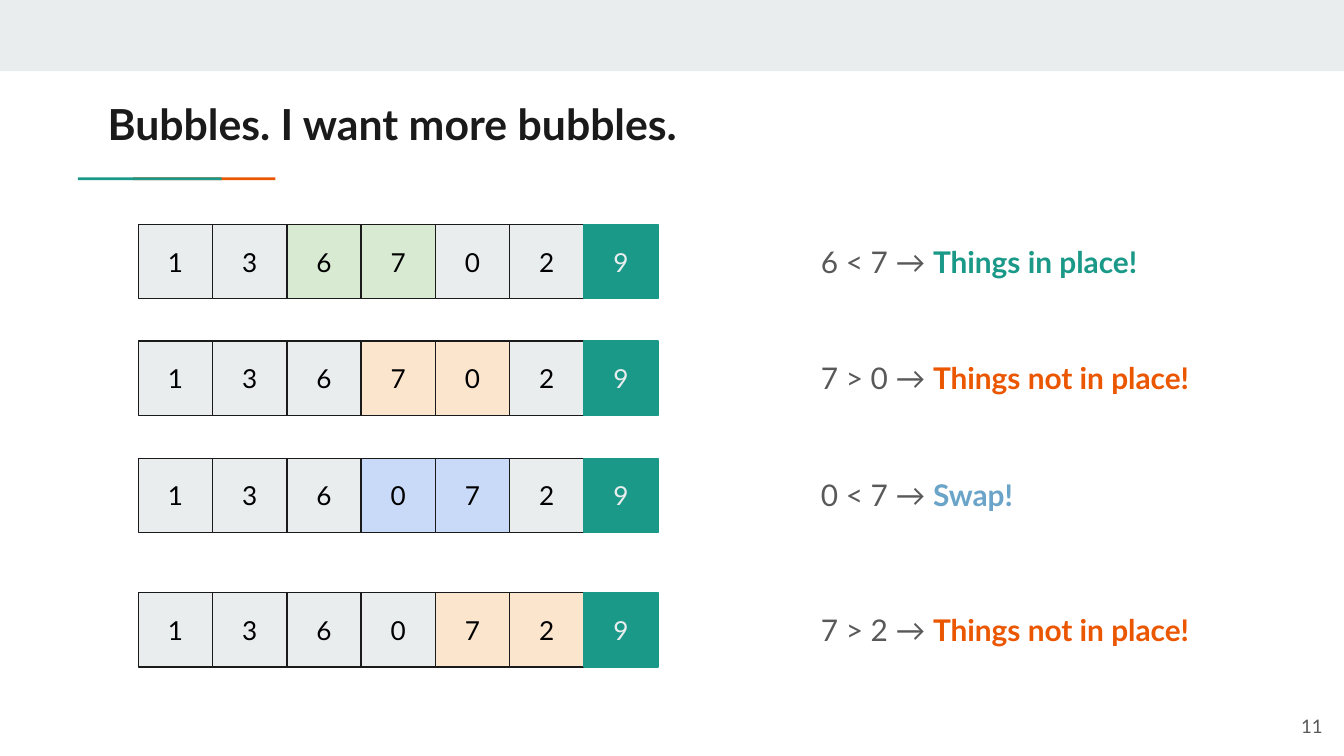
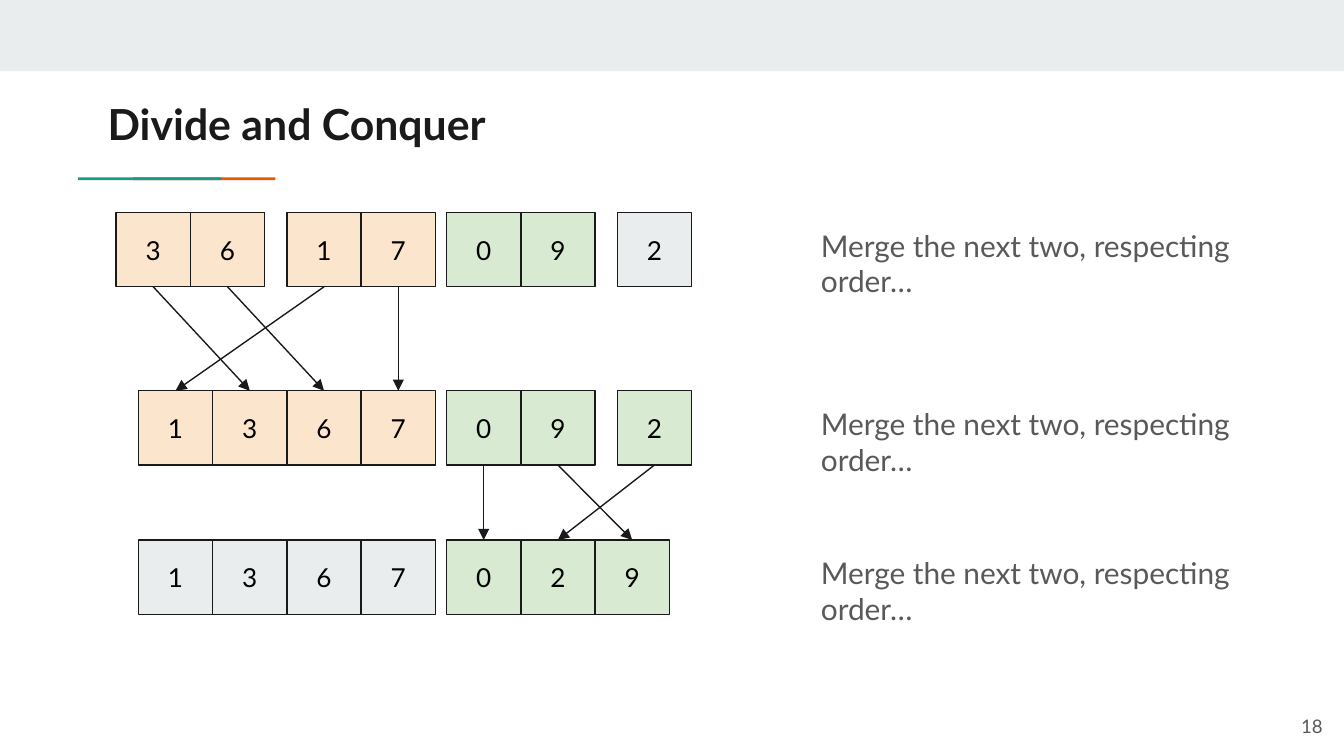
from lxml.etree import SubElement
from pptx import Presentation
from pptx.dml.color import RGBColor
from pptx.enum.shapes import MSO_CONNECTOR, MSO_SHAPE
from pptx.enum.text import MSO_ANCHOR, MSO_AUTO_SIZE, PP_ALIGN
from pptx.oxml.ns import qn
from pptx.util import Inches, Pt

INK, BODY, BLACK = "1A1A1A", "595959", "000000"
PALE, TEAL, ORANGE, BLUE = "E9EDEE", "1A9988", "EB5600", "6AA4C8"
FILLS = {"plain": PALE, "green": "D9EAD3", "peach": "FCE5CD", "sky": "C9DAF8", "sorted": TEAL}

deck = Presentation()
deck.slide_width, deck.slide_height = Inches(10), Inches(5.625)
share = deck.slide_width / 100
cell = deck.slide_width / 18.1
grid_left, grid_top = 10.3 * share, 16.7 * share


def write(shape, spans, size, align=PP_ALIGN.LEFT, anchor=MSO_ANCHOR.TOP, side=0.1):
    frame = shape.text_frame
    layout_values = {
        "word_wrap": True, "auto_size": MSO_AUTO_SIZE.NONE, "vertical_anchor": anchor,
        "margin_left": Inches(side), "margin_right": Inches(side),
        "margin_top": Inches(0.1), "margin_bottom": Inches(0.1),
    }
    for name, value in layout_values.items():
        setattr(frame, name, value)
    para = frame.paragraphs[0]
    para.alignment = align
    for text, color, bold in spans:
        span = para.add_run()
        span.text = text
        for name, value in {"name": "Lato", "size": Pt(size), "bold": bold}.items():
            setattr(span.font, name, value)
        span.font.color.rgb = RGBColor.from_string(color)


def add_block(page, bounds, fill, outline=None):
    block = page.shapes.add_shape(MSO_SHAPE.RECTANGLE, *map(round, bounds))
    block.shadow.inherit = False
    block.fill.solid()
    block.fill.fore_color.rgb = RGBColor.from_string(fill)
    if outline:
        block.line.color.rgb = RGBColor.from_string(outline)
        block.line.width = Pt(0.75)
    else:
        block.line.fill.background()
    return block


merge_note = [("Merge the next two, respecting order…", BODY, False)]
pairs_apart = [-0.3, 0.7, 2, 3, 4.15, 5.15, 6.45]
four_then_pair = [0, 1, 2, 3, 4.15, 5.15, 6.45]
four_then_three = [0, 1, 2, 3, 4.15, 5.15, 6.15]

pages = [
    {
        "title": "Bubbles. I want more bubbles.", "number": "11", "note_drop": 0.4, "arrows": [],
        "rows": [
            (top, range(7), values,
             ["plain"] * start + [mark] * 2 + ["plain"] * (4 - start) + ["sorted"],
             [(comparison, BODY, False), (verdict, color, True)])
            for top, values, start, mark, comparison, verdict, color in [
                (0, "1367029", 2, "green", "6 < 7 → ", "Things in place!", TEAL),
                (1.57, "1367029", 3, "peach", "7 > 0 → ", "Things not in place!", ORANGE),
                (3.15, "1360729", 3, "sky", "0 < 7 → ", "Swap!", BLUE),
                (4.96, "1360729", 4, "peach", "7 > 2 → ", "Things not in place!", ORANGE),
            ]
        ],
    },
    {
        "title": "Divide and Conquer", "number": "18", "note_drop": 0.1,
        "arrows": [(0, 0, 1), (0, 1, 2), (0, 2, 0), (0, 3, 3), (1, 4, 4), (1, 5, 6), (1, 6, 5)],
        "rows": [
            (-0.16, pairs_apart, "3617092", ["peach"] * 4 + ["green"] * 2 + ["plain"], merge_note),
            (2.24, four_then_pair, "1367092", ["peach"] * 4 + ["green"] * 3, merge_note),
            (4.25, four_then_three, "1367029", ["plain"] * 4 + ["green"] * 3, merge_note),
        ],
    },
]

layout = deck.slide_layouts[5]
bands = [
    ((0, 0, 100, 5.3), PALE),
    ((9.9, 13.2, 10.6, 0.2), ORANGE),
    ((5.8, 13.2, 10.7, 0.2), TEAL),
]

for index, content in enumerate(pages):
    page = deck.slides.add_slide(layout)
    if index == 0:
        for bounds, fill in bands:
            band = add_block(page, [length * share for length in bounds], fill)
            layout.shapes.element.append(band.element)

    title = page.shapes.title
    for name, value in {"left": 8, "top": 6.3, "width": 84.1, "height": 5.9}.items():
        setattr(title, name, round(value * share))
    write(title, [(content["title"], INK, True)], 22.9, side=0)

    number = page.shapes.add_textbox(*[round(n * share) for n in (93.4, 51.9, 6, 4.3)])
    write(number, [(content["number"], BODY, False)], 10, PP_ALIGN.RIGHT, MSO_ANCHOR.MIDDLE)

    cells = []
    for top, columns, values, marks, note in content["rows"]:
        row_top = grid_top + top * cell
        row_cells = []
        for column, value, mark in zip(columns, values, marks):
            is_sorted = mark == "sorted"
            box = add_block(page, (grid_left + column * cell, row_top, cell, cell),
                            FILLS[mark], TEAL if is_sorted else INK)
            write(box, [(value, PALE if is_sorted else BLACK, False)], 14,
                  PP_ALIGN.CENTER, MSO_ANCHOR.MIDDLE)
            row_cells.append(box)
        cells.append(row_cells)
        note_top = row_top + content["note_drop"] * share
        note_box = page.shapes.add_textbox(
            round(60.1 * share), round(note_top), round(33.3 * share), round(4.7 * share))
        write(note_box, note, 16)

    for row, start, end in content["arrows"]:
        arrow = page.shapes.add_connector(MSO_CONNECTOR.STRAIGHT, 0, 0, 0, 0)
        arrow.begin_connect(cells[row][start], 2)
        arrow.end_connect(cells[row + 1][end], 0)
        arrow.line.color.rgb = RGBColor.from_string(INK)
        arrow.line.width = Pt(0.75)
        properties = arrow.element.spPr
        SubElement(properties.find(qn("a:ln")), qn("a:tailEnd"), type="triangle")
        SubElement(properties, qn("a:effectLst"))

deck.save("out.pptx")
